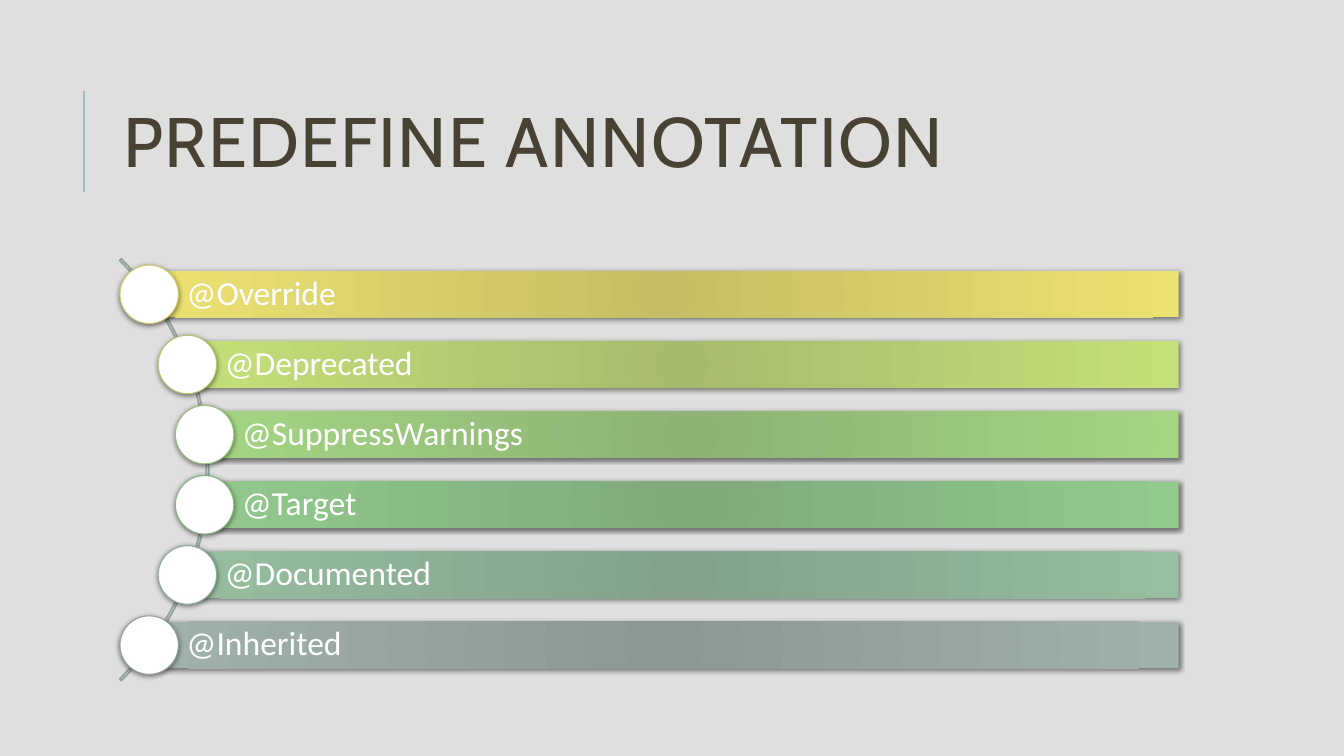
"""Build a slide listing Java's predefined annotations along an arc."""
from math import sqrt

from lxml import etree
from pptx import Presentation
from pptx import util as u
from pptx.dml.color import RGBColor
from pptx.enum import shapes, text
from pptx.oxml import parse_xml
from pptx.oxml.ns import nsdecls, qn

HEADING = "PREDEFINE ANNOTATION"
ANNOTATIONS = [
    ("@Override", "C4BD65", "ECE271", RGBColor(0xD2, 0xCB, 0x6C)),
    ("@Deprecated", "A7BB6C", "C4E07A", RGBColor(0xB3, 0xC9, 0x74)),
    ("@SuppressWarnings", "8EB274", "A3D583", RGBColor(0x98, 0xC0, 0x7C)),
    ("@Target", "7FAA7B", "92C98D", RGBColor(0x88, 0xB6, 0x84)),
    ("@Documented", "83A18A", "97BEA0", RGBColor(0x8D, 0xAD, 0x94)),
    ("@Inherited", "8B9892", "A1B2AB", RGBColor(0x95, 0xA3, 0x9D)),
]
BACKGROUND = RGBColor(0xDF, 0xDF, 0xDF)
HEADING_COLOR = RGBColor(0x47, 0x42, 0x33)
RULE_COLOR = RGBColor(0x9C, 0xBE, 0xBD)
ARC_COLOR = RGBColor(0x95, 0xA3, 0x9D)
WHITE = RGBColor(0xFF, 0xFF, 0xFF)

ARC_X, ARC_Y, ARC_RADIUS = -0.89, 4.66, 2.96
KNOB_ORBIT = 2.94
ROW_PITCH = 0.696
BAR_RIGHT, BAR_HEIGHT, KNOB_SIZE = 11.69, 0.46, 0.58

SHADOW = (
    f'<a:effectLst {nsdecls("a")}><a:outerShdw blurRad="50800" dist="12700" dir="5400000" '
    'rotWithShape="0"><a:srgbClr val="000000"><a:alpha val="50000"/></a:srgbClr>'
    '</a:outerShdw></a:effectLst>'
)


def apply(target, values):
    for name, value in values.items():
        setattr(target, name, value)


def inches(*lengths):
    return [u.Inches(length) for length in lengths]


def add_centred(slide, kind, x, y, width, height):
    shape = slide.shapes.add_shape(
        kind, *inches(x - width / 2, y - height / 2, width, height))
    shape.shadow.inherit = False
    return shape


def outline(shape, color, points):
    shape.line.color.rgb = color
    shape.line.width = u.Pt(points)


def cast_shadow(shape):
    props = shape._element.spPr
    props.replace(props.find(qn("a:effectLst")), parse_xml(SHADOW))


def fill_radial(shape, inner, outer):
    shape.fill.background()
    props = shape._element.spPr
    gradient = parse_xml(
        f'<a:gradFill {nsdecls("a")} rotWithShape="1"><a:gsLst>'
        f'<a:gs pos="0"><a:srgbClr val="{inner}"/></a:gs>'
        f'<a:gs pos="100000"><a:srgbClr val="{outer}"/></a:gs></a:gsLst>'
        '<a:path path="circle"><a:fillToRect l="100000" t="100000" r="100000" b="100000"/>'
        '</a:path></a:gradFill>')
    props.replace(props.find(qn("a:noFill")), gradient)


def write(shape, wording, size, font, color, spacing, insets):
    frame = shape.text_frame
    frame.text = wording
    apply(frame, {"word_wrap": True, "auto_size": text.MSO_AUTO_SIZE.NONE,
                  "vertical_anchor": text.MSO_ANCHOR.MIDDLE, **insets})
    paragraph = frame.paragraphs[0]
    apply(paragraph, {"alignment": text.PP_ALIGN.LEFT, "line_spacing": spacing})
    run = paragraph.runs[0]
    apply(run.font, {"size": u.Pt(size), "name": font})
    run.font.color.rgb = color
    return run


def add_heading(slide):
    rule = slide.shapes.add_connector(
        shapes.MSO_CONNECTOR.STRAIGHT, *inches(0.83, 1.9, 0.83, 0.9))
    outline(rule, RULE_COLOR, 1.5)
    etree.SubElement(rule._element.spPr, qn("a:effectLst"))
    title = slide.shapes.title
    apply(title, dict(zip(("left", "top", "width", "height"),
                          inches(1.12, 0.64, 10.63, 1.64))))
    run = write(title, HEADING, 50, "Cabin", HEADING_COLOR, 0.8, {})
    run._r.get_or_add_rPr().set("spc", "100")


def add_annotations(slide):
    arc = add_centred(slide, shapes.MSO_SHAPE.BLOCK_ARC, ARC_X, ARC_Y,
                      2 * ARC_RADIUS, 2 * ARC_RADIUS)
    for index, value in enumerate((189, 27, 0.004)):
        arc.adjustments[index] = value
    arc.fill.background()
    outline(arc, ARC_COLOR, 1.25)

    insets = {f"margin_{side}": u.Inches(0.07) for side in ("top", "right", "bottom")}
    insets["margin_left"] = u.Inches(0.37)
    for row, (label, inner, outer, edge) in enumerate(ANNOTATIONS):
        rise = (row - (len(ANNOTATIONS) - 1) / 2) * ROW_PITCH
        x, y = ARC_X + sqrt(KNOB_ORBIT ** 2 - rise ** 2), ARC_Y + rise
        bar = add_centred(slide, shapes.MSO_SHAPE.RECTANGLE, (x + BAR_RIGHT) / 2, y,
                          BAR_RIGHT - x, BAR_HEIGHT)
        fill_radial(bar, inner, outer)
        bar.line.fill.background()
        write(bar, label, 24, "Calibri", WHITE, 0.9, insets)
        knob = add_centred(slide, shapes.MSO_SHAPE.OVAL, x, y, KNOB_SIZE, KNOB_SIZE)
        knob.fill.solid()
        knob.fill.fore_color.rgb = WHITE
        outline(knob, edge, 0.75)
        for part in (bar, knob):
            cast_shadow(part)


def main():
    deck = Presentation()
    apply(deck, {"slide_width": u.Inches(13.33), "slide_height": u.Inches(7.5)})
    slide = deck.slides.add_slide(deck.slide_layouts[5])
    slide.background.fill.solid()
    slide.background.fill.fore_color.rgb = BACKGROUND
    add_heading(slide)
    add_annotations(slide)
    deck.save("out.pptx")


if __name__ == "__main__":
    main()
